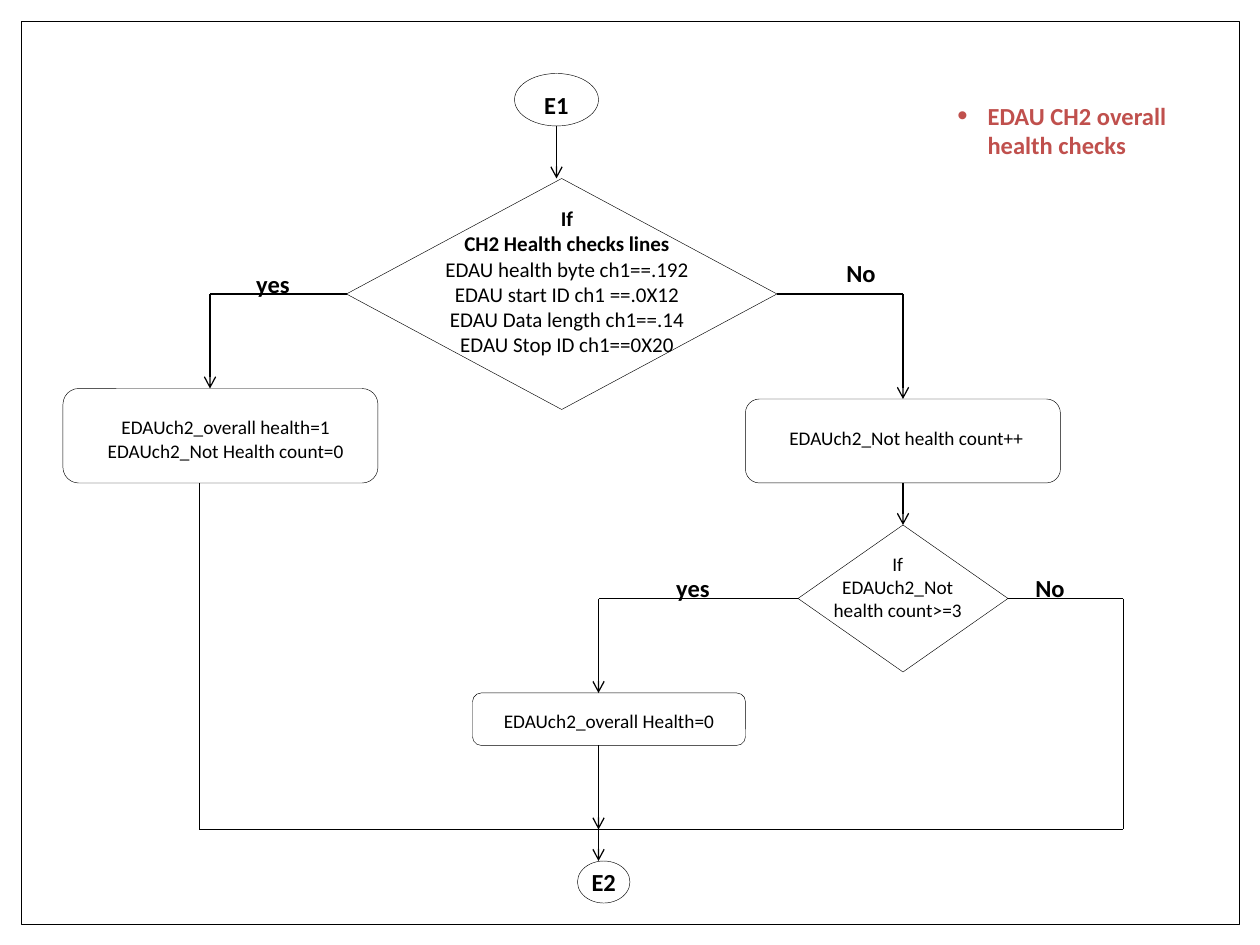
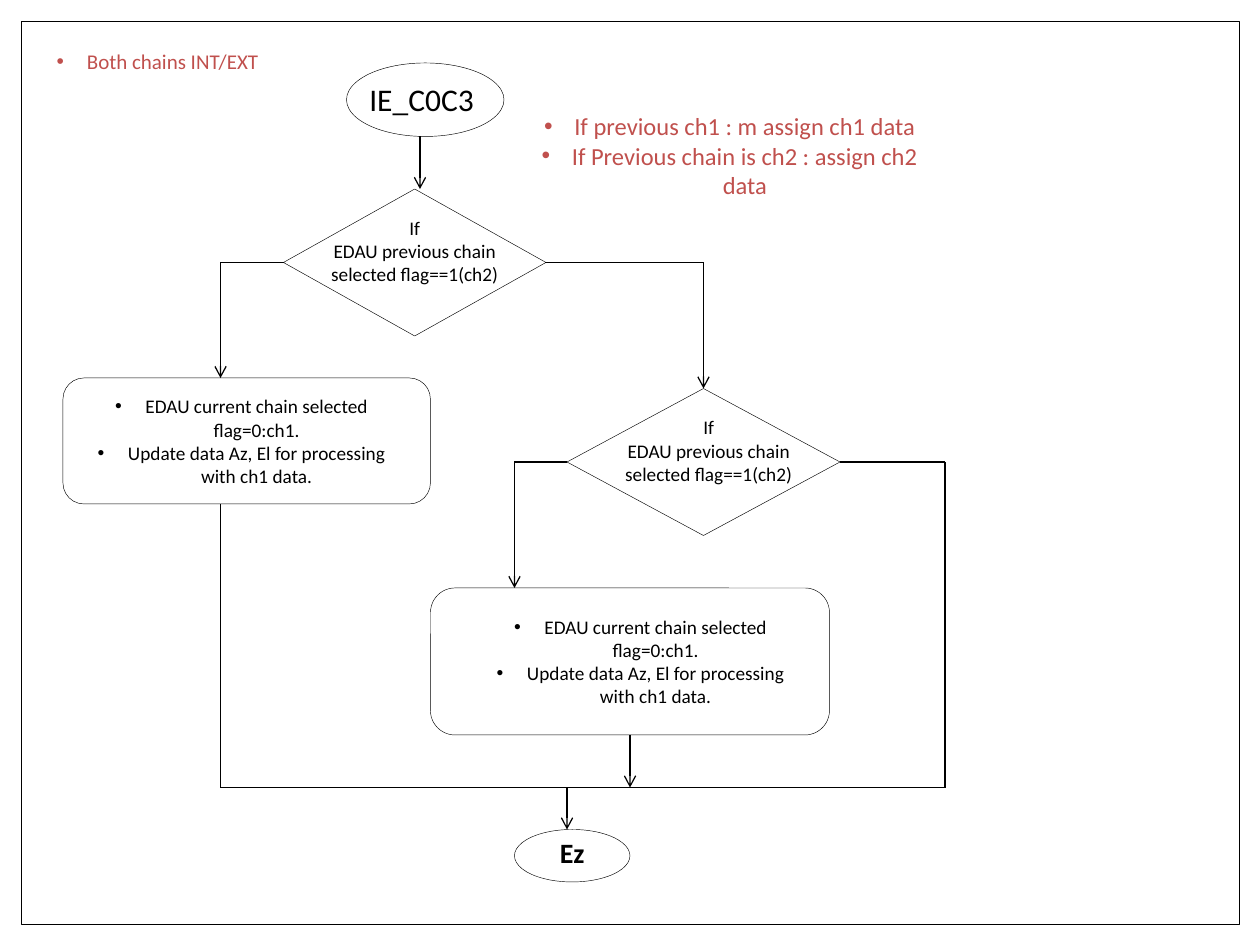
from itertools import pairwise

from lxml import etree
from pptx import Presentation
from pptx import util as u
from pptx.dml.color import RGBColor
from pptx.enum import shapes, text
from pptx.oxml import ns

COLOURS = {"ink": "000000", "heading": "C0504D"}
FONT = "Calibri"
COLUMNS, ROWS = 120, 90
BULLET_INDENT = u.Inches(0.24)
FRAME = (2, 2, 116, 86)

DECISION = shapes.MSO_SHAPE.FLOWCHART_DECISION
STEP = shapes.MSO_SHAPE.ROUNDED_RECTANGLE
TERMINAL = shapes.MSO_SHAPE.OVAL
CENTER, LEFT = text.PP_ALIGN.CENTER, text.PP_ALIGN.LEFT

PREVIOUS_CHAIN_TEST = ["If", "EDAU previous chain", "selected flag==1(ch2)"]
SWITCH_TO_CH1 = [
    "EDAU current chain selected flag=0:ch1.",
    "Update data Az, El for processing with ch1 data.",
]


def colour(name):
    return RGBColor.from_string(COLOURS[name])


def add_xml(parent, tag, **attributes):
    return etree.SubElement(parent, ns.qn(tag), attributes)


def add_bullet(paragraph, ink, percent):
    properties = paragraph._p.get_or_add_pPr()
    properties.set("marL", str(BULLET_INDENT))
    properties.set("indent", str(-BULLET_INDENT))
    add_xml(add_xml(properties, "a:buClr"), "a:srgbClr", val=COLOURS[ink])
    add_xml(properties, "a:buSzPct", val=str(percent * 1000))
    add_xml(properties, "a:buFont", typeface="Arial")
    add_xml(properties, "a:buChar", char="•")


class Flowchart:
    def __init__(self, slide, area):
        self.shapes = slide.shapes
        self.left, self.top, width, height = area
        self.column, self.row = width / COLUMNS, height / ROWS
        self.joints = {}
        self.outline(shapes.MSO_SHAPE.RECTANGLE, FRAME)

    def point(self, x, y):
        return round(self.left + x * self.column), round(self.top + y * self.row)

    def place(self, cell):
        x, y, width, height = cell
        return *self.point(x, y), round(width * self.column), round(height * self.row)

    def outline(self, preset, cell):
        node = self.shapes.add_shape(preset, *self.place(cell))
        node.shadow.inherit = False
        node.fill.background()
        node.line.color.rgb = colour("ink")
        node.line.width = u.Pt(0.25)
        return node

    def node(self, preset, cell):
        node = self.outline(preset, cell)
        if preset == TERMINAL:
            return
        x, y, width, height = cell
        middle_x, middle_y = x + width / 2, y + height / 2
        sides = [(middle_x, y), (x, middle_y), (middle_x, y + height), (x + width, middle_y)]
        for site, side in enumerate(sides):
            self.joints[side] = (node, site)

    def caption(self, cell, lines, size=11, ink="ink", align=CENTER, bold_lines=0, bullet=0):
        frame = self.shapes.add_textbox(*self.place(cell)).text_frame
        frame.word_wrap = True
        frame.auto_size = text.MSO_AUTO_SIZE.SHAPE_TO_FIT_TEXT
        frame.text = "\n".join(lines)
        for number, paragraph in enumerate(frame.paragraphs):
            paragraph.alignment = align
            if bullet:
                add_bullet(paragraph, ink, bullet)
            for run in paragraph.runs:
                run.font.name = FONT
                run.font.size = u.Pt(size)
                run.font.bold = number < bold_lines
                run.font.color.rgb = colour(ink)

    def label(self, cell, word, size=14):
        self.caption(cell, [word], size, bold_lines=1)

    def route(self, *stops, arrow=True):
        for start, end in pairwise(stops):
            line = self.shapes.add_connector(
                shapes.MSO_CONNECTOR.STRAIGHT, *self.point(*start), *self.point(*end)
            )
            line.line.color.rgb = colour("ink")
            line.line.width = u.Pt(0.75)
            if arrow and end == stops[-1]:
                add_xml(line.line._get_or_add_ln(), "a:tailEnd", type="arrow")
            add_xml(line._element.spPr, "a:effectLst")
            if start in self.joints:
                line.begin_connect(*self.joints[start])
            if end in self.joints:
                line.end_connect(*self.joints[end])


def health_check_slide(slide, area):
    chart = Flowchart(slide, area)
    for preset, cell in [
        (TERMINAL, (49, 7, 8, 5)),
        (DECISION, (33, 17, 41, 22)),
        (STEP, (6, 37, 30, 9)),
        (STEP, (71, 38, 30, 8)),
        (DECISION, (76, 50, 20, 14)),
        (STEP, (45, 66, 26, 5)),
        (TERMINAL, (55, 82, 5, 4)),
    ]:
        chart.node(preset, cell)

    merge_row = 79
    chart.route((53, 12), (53, 17))
    chart.route((33, 28), (20, 28), (20, 37))
    chart.route((74, 28), (86, 28), (86, 38))
    chart.route((86, 46), (86, 50))
    chart.route((76, 57), (57, 57), (57, 66))
    chart.route((96, 57), (107, 57), (107, merge_row), arrow=False)
    chart.route((19, 46), (19, merge_row), (107, merge_row), arrow=False)
    chart.route((57, 71), (57, merge_row))
    chart.route((57, merge_row), (57, 82))

    for x, y, width, word in [
        (50, 8, 6, "E1"),
        (23, 25, 6, "yes"),
        (79, 24, 6, "No"),
        (63, 54, 6, "yes"),
        (97, 54, 6, "No"),
        (55, 82, 5, "E2"),
    ]:
        chart.label((x, y, width, 4), word)

    chart.caption((41, 19, 26, 18), [
        "If",
        "CH2 Health checks lines",
        "EDAU health byte ch1==.192",
        "EDAU start ID ch1 ==.0X12",
        "EDAU Data length ch1==.14",
        "EDAU Stop ID ch1==0X20",
    ], size=12, bold_lines=2)
    chart.caption((9, 39, 25, 5.6), ["EDAUch2_overall health=1", "EDAUch2_Not Health count=0"])
    chart.caption((74, 40, 25, 3.5), ["EDAUch2_Not health count++"], align=LEFT)
    chart.caption((78, 52, 15, 7.8), ["If", "EDAUch2_Not health count>=3"])
    chart.caption((46, 67, 24, 3.5), ["EDAUch2_overall Health=0"])
    chart.caption((90, 9, 25, 6.8), ["EDAU CH2 overall health checks"], size=14,
                  ink="heading", align=LEFT, bold_lines=1, bullet=120)


def chain_selection_slide(slide, area):
    chart = Flowchart(slide, area)
    for preset, cell in [
        (TERMINAL, (33, 6, 15, 7)),
        (DECISION, (27, 18, 25, 14)),
        (STEP, (6, 36, 35, 12)),
        (DECISION, (54, 37, 26, 14)),
        (STEP, (41, 56, 38, 14)),
        (TERMINAL, (49, 79, 11, 5)),
    ]:
        chart.node(preset, cell)

    merge_row = 75
    chart.route((40, 13), (40, 18))
    chart.route((27, 25), (21, 25), (21, 36))
    chart.route((52, 25), (67, 25), (67, 37))
    chart.route((54, 44), (49, 44), (49, 56))
    chart.route((80, 44), (90, 44), (90, merge_row), arrow=False)
    chart.route((21, 48), (21, merge_row), (90, merge_row), arrow=False)
    chart.route((60, 70), (60, merge_row))
    chart.route((54, merge_row), (54, 79))

    chart.caption((34, 7, 13, 4.8), ["IE_C0C3"], size=18, align=LEFT)
    for x, y in [(30, 20), (58, 39)]:
        chart.caption((x, y, 19, 7.8), PREVIOUS_CHAIN_TEST)
    for x, y in [(7, 37), (45, 58)]:
        chart.caption((x, y, 32, 10), SWITCH_TO_CH1, bullet=100)
    chart.label((52, 79, 5, 4.4), "Ez", size=16)
    chart.caption((4, 4, 22, 3.6), ["Both chains INT/EXT"], size=12, ink="heading", bullet=100)
    chart.caption((49, 10, 41, 6.8), [
        "If previous ch1 : m assign ch1 data",
        "If Previous chain is ch2 : assign ch2 data",
    ], size=14, ink="heading", bullet=100)


def main():
    deck = Presentation()
    deck.slide_width, deck.slide_height = u.Inches(10), u.Inches(7.5)
    area = (0, 0, deck.slide_width, deck.slide_height)
    blank = deck.slide_layouts.get_by_name("Blank")
    for build in (health_check_slide, chain_selection_slide):
        build(deck.slides.add_slide(blank), area)
    deck.save("out.pptx")


if __name__ == "__main__":
    main()
